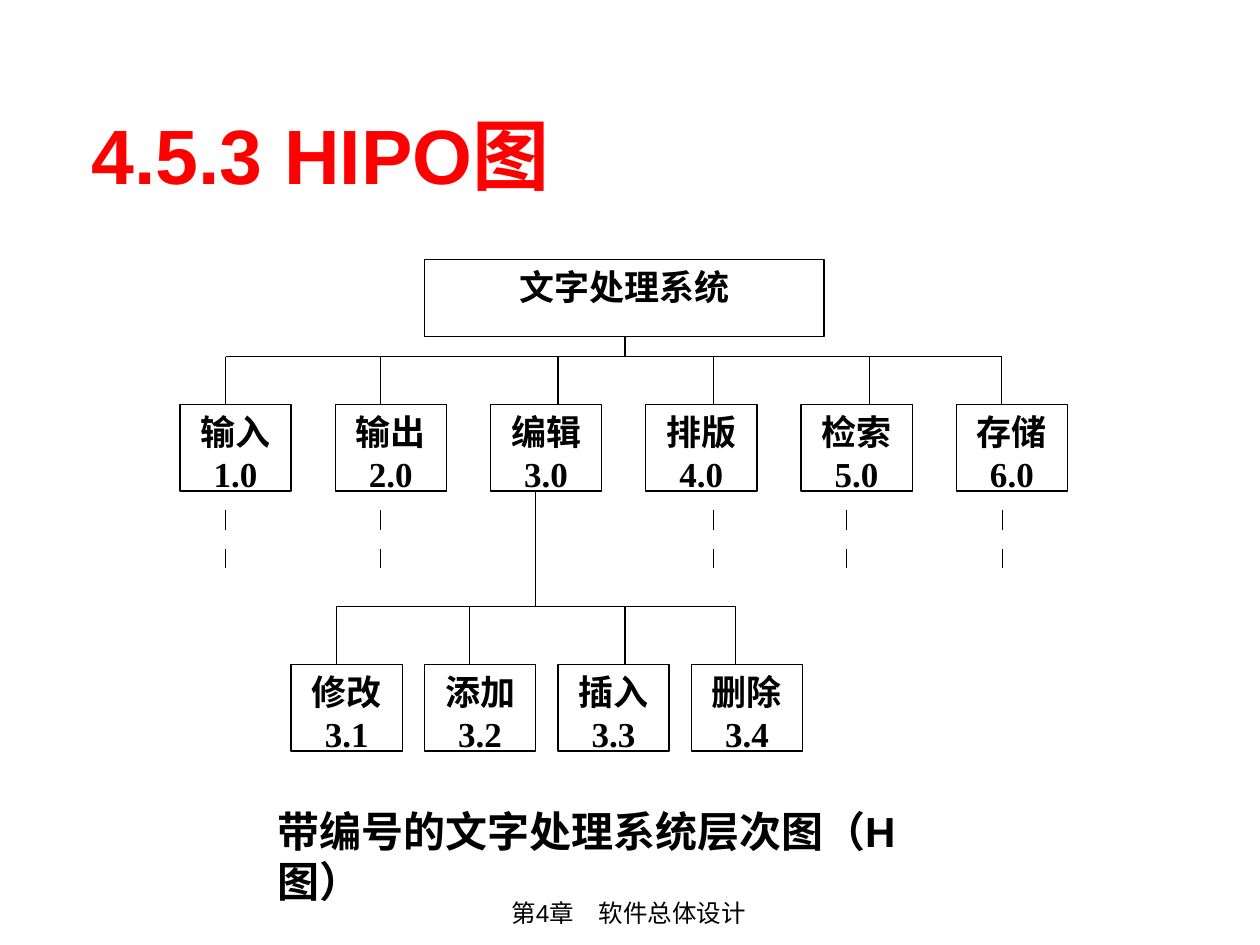
"""Build the numbered hierarchy chart slide of a word processing system."""
from dataclasses import dataclass

from lxml import etree
from pptx import Presentation
from pptx.dml.color import RGBColor
from pptx.enum.shapes import MSO_CONNECTOR, MSO_SHAPE
from pptx.enum.text import MSO_ANCHOR, PP_ALIGN
from pptx.oxml.ns import qn
from pptx.util import Cm, Pt

RECT = MSO_SHAPE.RECTANGLE
LINE = MSO_CONNECTOR.STRAIGHT
LEFT, MID = PP_ALIGN.LEFT, PP_ALIGN.CENTER
TOP, HALF = MSO_ANCHOR.TOP, MSO_ANCHOR.MIDDLE


@dataclass(frozen=True)
class Theme:
    ink: RGBColor = RGBColor(0, 0, 0)
    red: RGBColor = RGBColor(255, 0, 0)
    paper: RGBColor = RGBColor(255, 255, 255)
    sans: str = "Arial"
    serif: str = "Times New Roman"
    title: int = 44
    label: int = 24
    node: int = 20
    foot: int = 14
    rule: float = 0.75


@dataclass(frozen=True)
class Box:
    x: float
    y: float
    w: float
    h: float


@dataclass(frozen=True)
class Row:
    names: tuple[str, ...]
    codes: str
    x: float
    y: float
    step: float
    drops: tuple[float, ...]
    bar: float
    stem: float
    start: float


THEME = Theme()
ROOT = Box(8.56, 5.23, 8.05, 1.55)
NODE_W, NODE_H = 2.24, 1.75
ROWS = (
    Row(("输入", "输出", "编辑", "排版", "检索", "存储"), "{}.0", 3.63, 8.15, 3.13,
        (4.55, 7.67, 11.25, 14.38, 17.53, 20.19), 7.19, 12.6, 6.78),
    Row(("修改", "添加", "插入", "删除"), "3.{}", 5.87, 13.39, 2.69,
        (6.78, 9.47, 12.6, 14.83), 12.22, 10.8, 9.9),
)
DASH_X = (4.55, 7.67, 14.38, 17.07, 20.21)
DASH_Y = (10.29, 11.06)
DASH = 0.39


def place(box: Box) -> tuple[Cm, Cm, Cm, Cm]:
    """Return the position and size of a box as lengths."""
    return Cm(box.x), Cm(box.y), Cm(box.w), Cm(box.h)


def write(shape, text: str, *, size: int, font: str = THEME.sans,
          color: RGBColor = THEME.ink, bold: bool = True,
          align: PP_ALIGN = LEFT, anchor: MSO_ANCHOR = TOP,
          pad: tuple[float, float] = (0.25, 0.13)) -> None:
    """Fill a shape with formatted text, one paragraph per line."""
    frame = shape.text_frame
    frame.word_wrap = True
    frame.vertical_anchor = anchor
    frame.margin_left = frame.margin_right = Cm(pad[0])
    frame.margin_top = frame.margin_bottom = Cm(pad[1])
    frame.text = text
    for para in frame.paragraphs:
        para.alignment = align
        for run in para.runs:
            run.font.name = font
            run.font.size = Pt(size)
            run.font.bold = bold
            run.font.color.rgb = color


def label(slide, box: Box, text: str, **form) -> None:
    """Add a text box."""
    write(slide.shapes.add_textbox(*place(box)), text, **form)


def node(slide, box: Box, text: str) -> None:
    """Add an outlined chart box."""
    shape = slide.shapes.add_shape(RECT, *place(box))
    shape.shadow.inherit = False
    shape.fill.solid()
    shape.fill.fore_color.rgb = THEME.paper
    shape.line.color.rgb = THEME.ink
    shape.line.width = Pt(THEME.rule)
    write(shape, text, size=THEME.node, font=THEME.serif, align=MID)


def line(slide, x1: float, y1: float, x2: float, y2: float) -> None:
    """Add a thin straight line."""
    link = slide.shapes.add_connector(LINE, Cm(x1), Cm(y1), Cm(x2), Cm(y2))
    link.line.color.rgb = THEME.ink
    link.line.width = Pt(THEME.rule)
    props = link._element.find(qn("p:spPr"))
    etree.SubElement(props, qn("a:effectLst"))


def tier(slide, row: Row) -> None:
    """Draw one level of boxes with the lines leading into it."""
    for i, name in enumerate(row.names):
        box = Box(row.x + i * row.step, row.y, NODE_W, NODE_H)
        node(slide, box, f"{name}\n{row.codes.format(i + 1)}")
    line(slide, row.drops[0], row.bar, row.drops[-1], row.bar)
    line(slide, row.stem, row.start, row.stem, row.bar)
    for x in row.drops:
        line(slide, x, row.bar, x, row.y)


def main() -> None:
    """Build and save the slide."""
    deck = Presentation()
    deck.slide_width, deck.slide_height = Cm(25.4), Cm(19.05)
    slide = deck.slides.add_slide(deck.slide_layouts[6])
    label(slide, Box(5.97, 17.98, 13.41, 0.86), "第4章　软件总体设计",
          size=THEME.foot, bold=False, align=MID)
    label(slide, Box(1.6, 2.18, 21.41, 1.83), "4.5.3 HIPO图",
          size=THEME.title, color=THEME.red, anchor=HALF)
    label(slide, Box(5.59, 16.23, 13.72, 2.03),
          "带编号的文字处理系统层次图（H图）", size=THEME.label, pad=(0, 0))
    node(slide, ROOT, "文字处理系统")
    for row in ROWS:
        tier(slide, row)
    for x in DASH_X:
        for y in DASH_Y:
            line(slide, x, y, x, y + DASH)
    deck.save("out.pptx")


if __name__ == "__main__":
    main()
